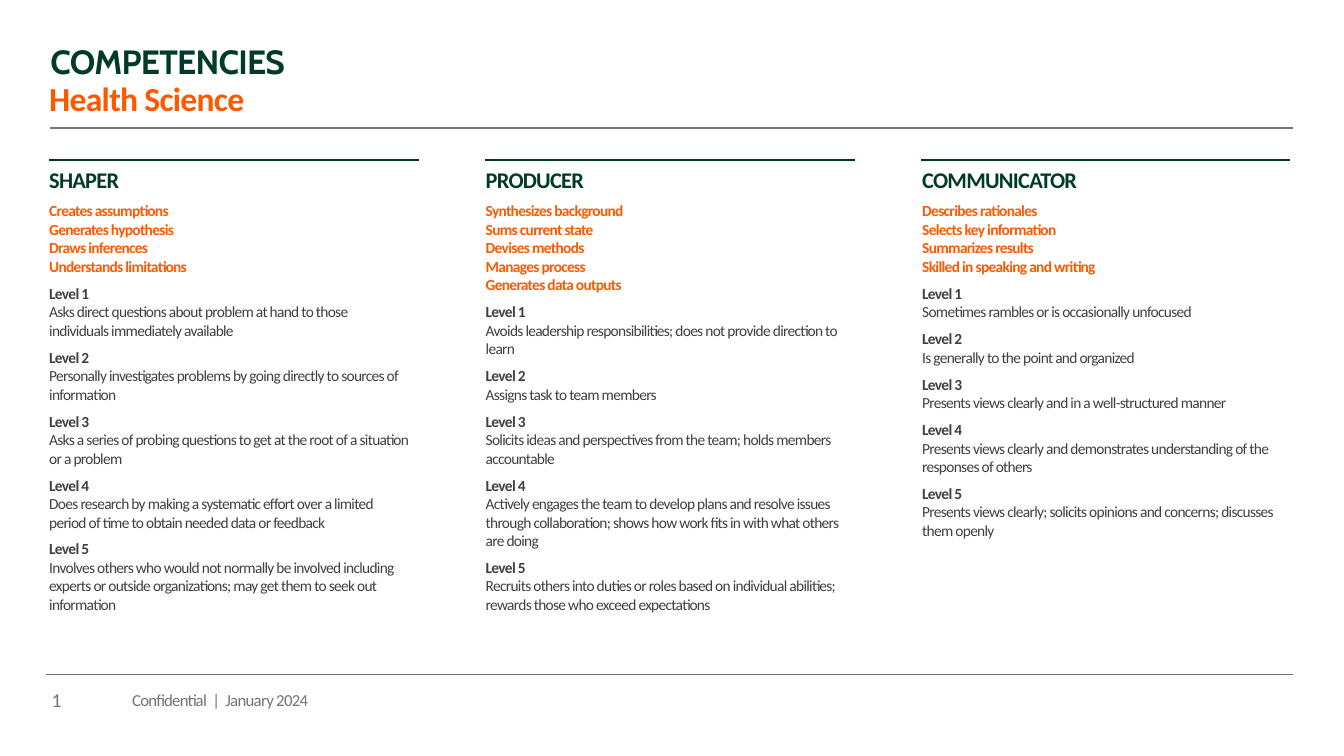
from copy import deepcopy
from dataclasses import dataclass

from lxml.etree import SubElement
from pptx import Presentation
from pptx.dml.color import RGBColor
from pptx.enum.shapes import MSO_CONNECTOR
from pptx.enum.text import MSO_ANCHOR, MSO_AUTO_SIZE, PP_ALIGN
from pptx.oxml.ns import qn
from pptx.util import Cm, Pt

COLORS = {"green": "003B2A", "orange": "FF5900", "text": "3F4041", "gray": "737477"}

# Text formats: color key, then font attributes
HEADING = {"color": "green", "size": Pt(16), "bold": True}
SKILL = {"color": "orange", "size": Pt(11), "bold": True}
LEVEL = {"color": "text", "size": Pt(11), "bold": True}
DETAIL = {"color": "text", "size": Pt(11), "bold": False}
TITLE = {"color": "green", "size": Pt(24), "bold": True, "name": "Cabin"}
SUBTITLE = {"color": "orange", "size": Pt(24), "bold": True}
PAGE = {"color": "gray", "size": Pt(14), "bold": False}
FOOTER = {"color": "gray", "size": Pt(12), "bold": False}

COLUMN_LEFT, COLUMN_WIDTH = 1.24, 9.32
TEXT_PITCH, RULE_PITCH = 11.0, 10.98


@dataclass
class Competency:
    name: str
    skills: list[str]
    levels: list[str]


@dataclass
class Rule:
    left: float
    right: float
    top: float
    color: str
    weight: float


COMPETENCIES = [
    Competency(
        "SHAPER",
        ["Creates assumptions", "Generates hypothesis", "Draws inferences",
         "Understands limitations"],
        ["Asks direct questions about problem at hand to those individuals "
         "immediately available",
         "Personally investigates problems by going directly to sources of information",
         "Asks a series of probing questions to get at the root of a situation or a problem",
         "Does research by making a systematic effort over a limited period of time "
         "to obtain needed data or feedback",
         "Involves others who would not normally be involved including experts or "
         "outside organizations; may get them to seek out information"],
    ),
    Competency(
        "PRODUCER",
        ["Synthesizes background", "Sums current state", "Devises methods",
         "Manages process", "Generates data outputs"],
        ["Avoids leadership responsibilities; does not provide direction to learn",
         "Assigns task to team members",
         "Solicits ideas and perspectives from the team; holds members accountable",
         "Actively engages the team to develop plans and resolve issues through "
         "collaboration; shows how work fits in with what others are doing",
         "Recruits others into duties or roles based on individual abilities; "
         "rewards those who exceed expectations"],
    ),
    Competency(
        "COMMUNICATOR",
        ["Describes rationales", "Selects key information", "Summarizes results",
         "Skilled in speaking and writing"],
        ["Sometimes rambles or is occasionally unfocused",
         "Is generally to the point and organized",
         "Presents views clearly and in a well-structured manner",
         "Presents views clearly and demonstrates understanding of the responses of others",
         "Presents views clearly; solicits opinions and concerns; discusses them openly"],
    ),
]

RULES = [
    Rule(1.27, 32.59, 3.23, "gray", 1),
    Rule(1.17, 32.59, 16.99, "gray", 0.25),
] + [
    Rule(left, left + COLUMN_WIDTH, 4.04, "green", 1.5)
    for left in (COLUMN_LEFT + RULE_PITCH * index for index in range(len(COMPETENCIES)))
]


def add_lines(paragraph, lines: list[tuple[str, dict]]) -> None:
    """Write formatted lines into one paragraph, parted by line breaks."""
    for number, (text, style) in enumerate(lines):
        if number:
            paragraph.add_line_break()
            paragraph._p[-1].append(deepcopy(run_properties))
        run = paragraph.add_run()
        run.text = text
        values = {"name": "Calibri", **style}
        run.font.color.rgb = RGBColor.from_string(COLORS[values.pop("color")])
        for attribute, value in values.items():
            setattr(run.font, attribute, value)
        run_properties = run._r.get_or_add_rPr()
        run_properties.set("spc", "-50")


def fill_text(shape, box: tuple[float, float, float, float],
              paragraphs: list[list[tuple[str, dict]]],
              space: float = 0, anchor=MSO_ANCHOR.TOP) -> None:
    """Place a text shape and write its paragraphs."""
    shape.left, shape.top, shape.width, shape.height = map(Cm, box)
    frame = shape.text_frame
    settings = {
        "word_wrap": True, "auto_size": MSO_AUTO_SIZE.NONE, "vertical_anchor": anchor,
        "margin_left": 0, "margin_right": Cm(0.25),
        "margin_top": Cm(0.13), "margin_bottom": Cm(0.13),
    }
    for attribute, value in settings.items():
        setattr(frame, attribute, value)
    for index, lines in enumerate(paragraphs):
        paragraph = frame.add_paragraph() if index else frame.paragraphs[0]
        layout = {"alignment": PP_ALIGN.LEFT, "space_before": Pt(space),
                  "space_after": Pt(0), "line_spacing": 1.0}
        for attribute, value in layout.items():
            setattr(paragraph, attribute, value)
        properties = paragraph._p.get_or_add_pPr()
        properties.set("marL", "0")
        properties.set("indent", "0")
        SubElement(properties, qn("a:buNone"))
        add_lines(paragraph, lines)


def add_rule(slide, rule: Rule) -> None:
    connector = slide.shapes.add_connector(
        MSO_CONNECTOR.STRAIGHT, Cm(rule.left), Cm(rule.top), Cm(rule.right), Cm(rule.top))
    connector.line.color.rgb = RGBColor.from_string(COLORS[rule.color])
    connector.line.width = Pt(rule.weight)
    SubElement(connector._element.spPr, qn("a:effectLst"))


def competency_paragraphs(competency: Competency) -> list[list[tuple[str, dict]]]:
    levels = [
        [(f"Level {number}", LEVEL), (detail, DETAIL)]
        for number, detail in enumerate(competency.levels, 1)
    ]
    skills = [(skill, SKILL) for skill in competency.skills]
    return [[(competency.name, HEADING)], skills, *levels]


def main() -> None:
    presentation = Presentation()
    presentation.slide_width, presentation.slide_height = Cm(33.87), Cm(19.05)
    # The comparison layout has a title and four body placeholders
    slide = presentation.slides.add_slide(presentation.slide_layouts[4])
    title, subtitle, *columns = slide.placeholders

    # Title and subtitle
    fill_text(title, (1.27, 0.91, 31.3, 1.5), [[("COMPETENCIES", TITLE)]])
    fill_text(subtitle, (1.24, 1.83, 31.32, 1.3), [[("Health Science", SUBTITLE)]], 6)

    # Competency columns
    for index, (column, competency) in enumerate(zip(columns, COMPETENCIES)):
        box = (COLUMN_LEFT + TEXT_PITCH * index, 4.06, COLUMN_WIDTH, 12.5)
        fill_text(column, box, competency_paragraphs(competency), 6)

    # Footer
    for left, width, text, style in (
        (1.3, 1.27, "1", PAGE),
        (3.33, 28.0, "Confidential  |  January 2024", FOOTER),
    ):
        footer = slide.shapes.add_textbox(0, 0, 0, 0)
        fill_text(footer, (left, 16.99, width, 1.27), [[(text, style)]],
                  anchor=MSO_ANCHOR.MIDDLE)

    # Rules
    for rule in RULES:
        add_rule(slide, rule)

    presentation.save("out.pptx")


if __name__ == "__main__":
    main()
